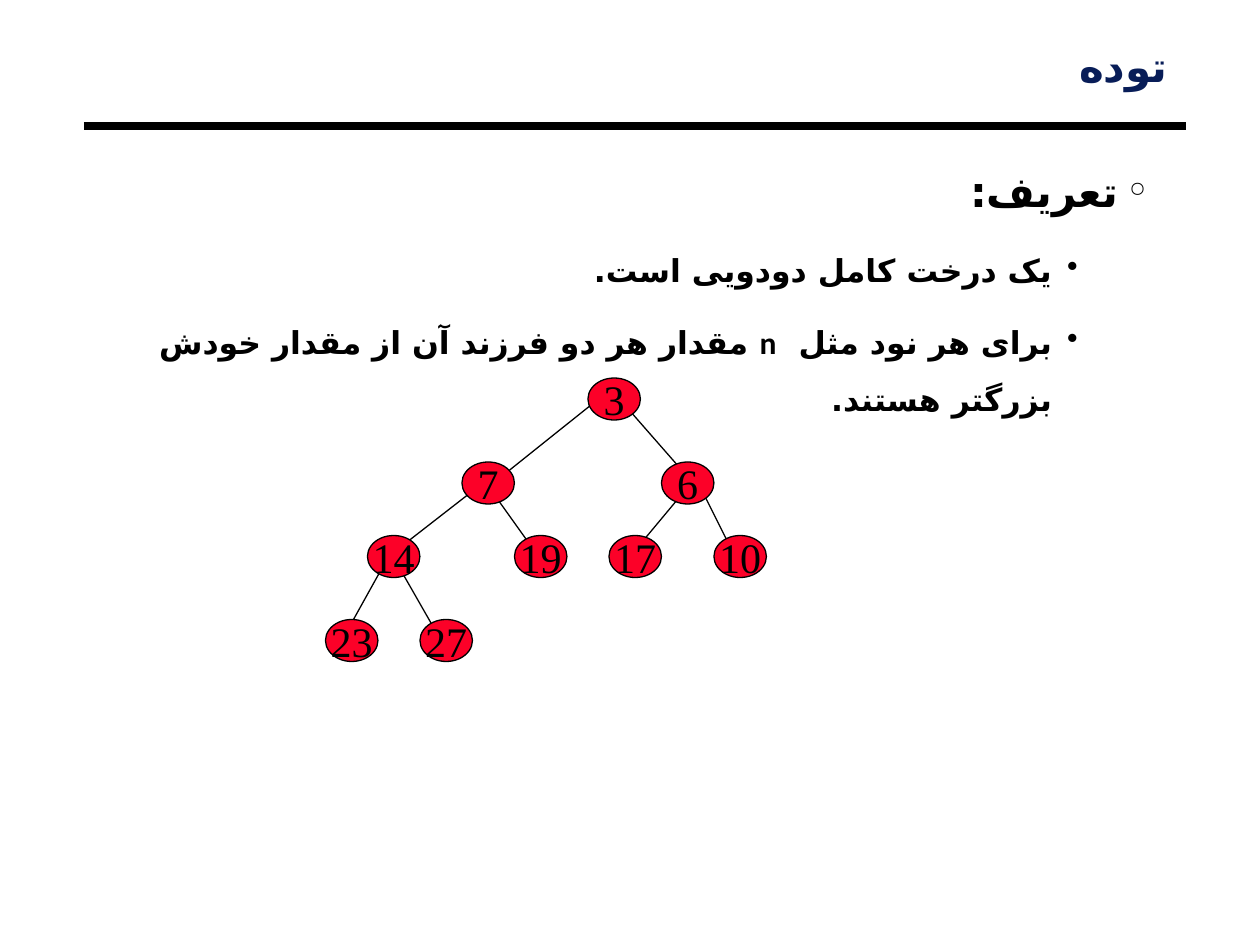
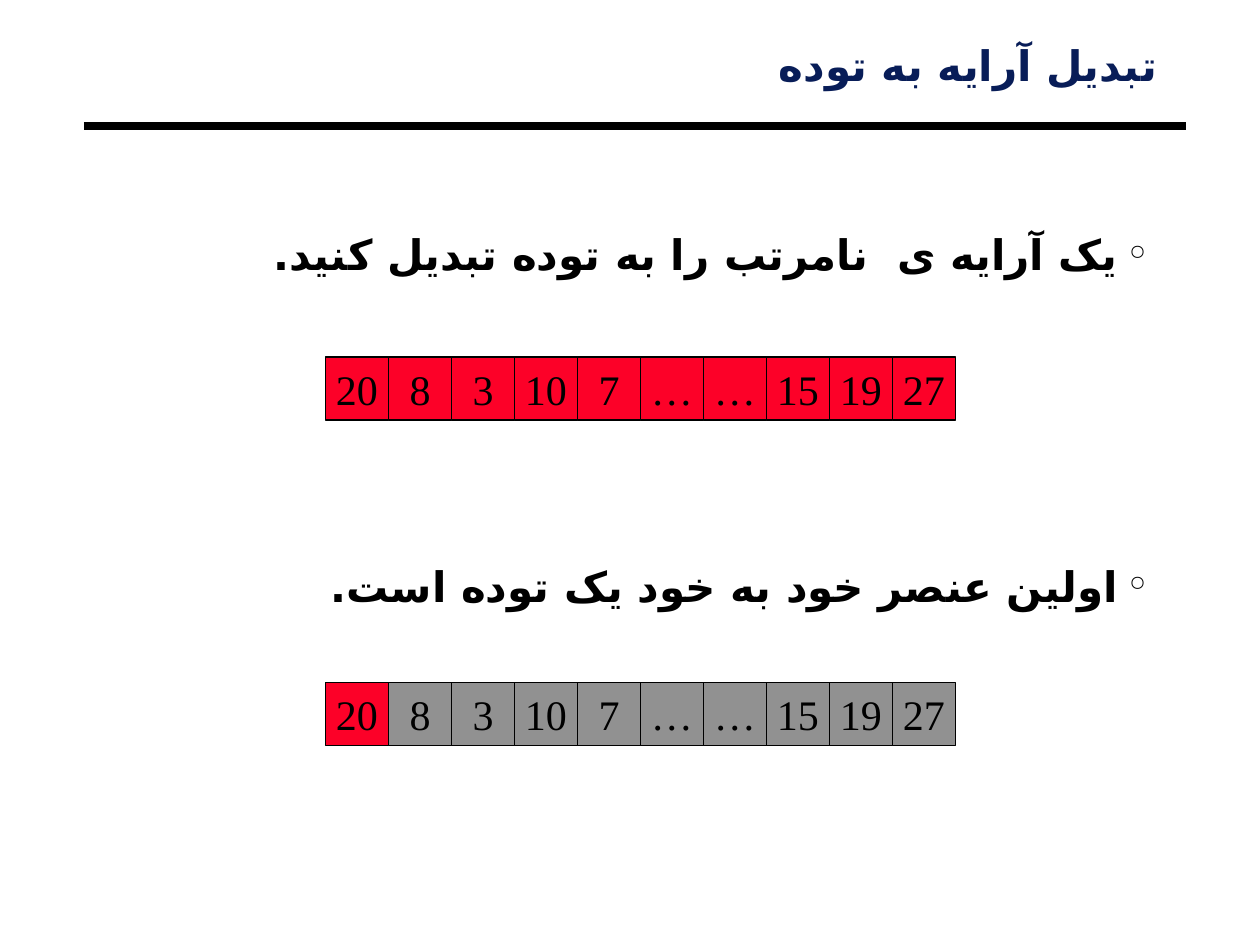
from pptx import Presentation, util as u
from pptx.dml.color import RGBColor
from pptx.enum import shapes, text
from pptx.oxml import xmlchemy

PX = u.Inches(1) // 120
BLACK = RGBColor(0x00, 0x00, 0x00)
NAVY = RGBColor(0x08, 0x1D, 0x58)
RED = RGBColor(0xFC, 0x01, 0x28)
GREY = RGBColor(0x91, 0x91, 0x91)
TITLE_FONT, BODY_FONT, NUMBER_FONT = "Roboto", "Calibri", "Times New Roman"
PERSIAN_FONT = "DejaVu Sans"

# level: (bullet, size in pt, indent in px, hanging in px, space before in pt)
LEVELS = {0: ("°", 24, 27, 27, 19.5), 1: ("•", 18, 90, 25, 9)}

NODE_WIDTH, NODE_HEIGHT = 50, 40
HEAP_NODES = [
    ("3", 560, 360),
    ("7", 440, 440), ("6", 630, 440),
    ("14", 350, 510), ("19", 490, 510), ("17", 580, 510), ("10", 680, 510),
    ("23", 310, 590), ("27", 400, 590),
]
HEAP_EDGES = [
    (570, 380, 470, 460), (590, 380, 660, 460),
    (460, 460, 370, 530), (470, 470, 520, 540),
    (650, 470, 600, 530), (670, 470, 700, 530),
    (370, 530, 320, 620), (380, 540, 420, 610),
]
CELL = 60
ARRAY_LEFT = 310
ARRAY_VALUES = ["20", "8", "3", "10", "7", "…", "…", "15", "19", "27"]


def add_child(parent, tag, **attributes):
    child = xmlchemy.OxmlElement(tag)
    for name, value in attributes.items():
        child.set(name, value)
    parent.append(child)
    return child


class Deck:
    """Holds the presentation, its style and the current slide."""

    def __init__(self):
        self.presentation = Presentation()
        self.presentation.slide_width = 1200 * PX
        self.presentation.slide_height = 900 * PX
        self.slide = None

    def start_slide(self, title, left, top, width):
        layout = self.presentation.slide_layouts[6]
        self.slide = self.presentation.slides.add_slide(layout)
        self.line(80, 120, 1130, 120, 4.5)
        paragraph = self.text_frame(left, top, width, 50).paragraphs[0]
        self.right_to_left(paragraph, 0.87)
        self.run(paragraph, title, TITLE_FONT, 24, NAVY, bold=True)

    def line(self, x1, y1, x2, y2, weight=0.75):
        connector = self.slide.shapes.add_connector(
            shapes.MSO_CONNECTOR.STRAIGHT, x1 * PX, y1 * PX, x2 * PX, y2 * PX)
        connector.line.color.rgb = BLACK
        connector.line.width = u.Pt(weight)
        add_child(connector._element.spPr, "a:effectLst")

    def text_frame(self, left, top, width, height):
        box = self.slide.shapes.add_textbox(left * PX, top * PX, width * PX, height * PX)
        frame = box.text_frame
        frame.word_wrap = True
        frame.margin_left = frame.margin_right = 8 * PX
        frame.margin_top = frame.margin_bottom = 4 * PX
        return frame

    def right_to_left(self, paragraph, line_spacing):
        paragraph.alignment = text.PP_ALIGN.RIGHT
        paragraph.line_spacing = line_spacing
        properties = paragraph._p.get_or_add_pPr()
        properties.set("rtl", "1")
        return properties

    def run(self, paragraph, words, font_name, size, color, bold=False):
        run = paragraph.add_run()
        run.text = words
        run.font.name = font_name
        run.font.size = u.Pt(size)
        run.font.bold = bold
        run.font.color.rgb = color
        add_child(run._r.get_or_add_rPr(), "a:cs", typeface=PERSIAN_FONT)

    def bullets(self, left, top, width, height, items):
        """Add a bulleted text box; each item is (level, words, space before or None)."""
        frame = self.text_frame(left, top, width, height)
        for index, (level, words, space) in enumerate(items):
            bullet, size, indent, hanging, level_space = LEVELS[level]
            paragraph = frame.add_paragraph() if index else frame.paragraphs[0]
            paragraph.level = level
            properties = self.right_to_left(paragraph, 1.5)
            properties.set("marL", str(indent * PX))
            properties.set("indent", str(-hanging * PX))
            if index:
                paragraph.space_before = u.Pt(space or level_space)
            color = add_child(properties, "a:buClr")
            add_child(color, "a:srgbClr", val=str(BLACK))
            add_child(properties, "a:buChar", char=bullet)
            self.run(paragraph, words, BODY_FONT, size, BLACK, bold=True)

    def number(self, kind, words, left, top, width, height, fill):
        shape = self.slide.shapes.add_shape(
            kind, left * PX, top * PX, width * PX, height * PX)
        shape.shadow.inherit = False
        shape.fill.solid()
        shape.fill.fore_color.rgb = fill
        shape.line.color.rgb = BLACK
        shape.line.width = u.Pt(0.75)
        frame = shape.text_frame
        frame.word_wrap = False
        frame.vertical_anchor = text.MSO_ANCHOR.MIDDLE
        paragraph = frame.paragraphs[0]
        paragraph.alignment = text.PP_ALIGN.CENTER
        self.run(paragraph, words, NUMBER_FONT, 24, BLACK)

    def array(self, top, heap_size):
        """Draw the array as a row of cells, the first heap_size of them in red."""
        for index, value in enumerate(ARRAY_VALUES):
            self.number(shapes.MSO_SHAPE.RECTANGLE, value, ARRAY_LEFT + index * CELL, top,
                        CELL, CELL, RED if index < heap_size else GREY)


def heap_definition(deck):
    deck.start_slide("توده", 80, 41, 1040)
    deck.bullets(70, 130, 1030, 271, [
        (0, "تعریف:", None),
        (1, "یک درخت کامل دودویی است.", None),
        (1, "برای هر نود مثل  n مقدار هر دو فرزند آن از مقدار خودش بزرگتر هستند.", None),
    ])
    for edge in HEAP_EDGES:
        deck.line(*edge)
    for value, left, top in HEAP_NODES:
        deck.number(shapes.MSO_SHAPE.OVAL, value, left, top, NODE_WIDTH, NODE_HEIGHT, RED)


def array_to_heap(deck):
    deck.start_slide("تبدیل آرایه به توده", 90, 40, 1020)
    deck.bullets(80, 190, 1020, 392, [
        (0, "یک آرایه ی  نامرتب را به توده تبدیل کنید.", None),
        (0, "اولین عنصر خود به خود یک توده است.", 146),
    ])
    deck.array(340, len(ARRAY_VALUES))
    deck.array(650, 1)


def main():
    deck = Deck()
    heap_definition(deck)
    array_to_heap(deck)
    deck.presentation.save("out.pptx")


if __name__ == "__main__":
    main()
